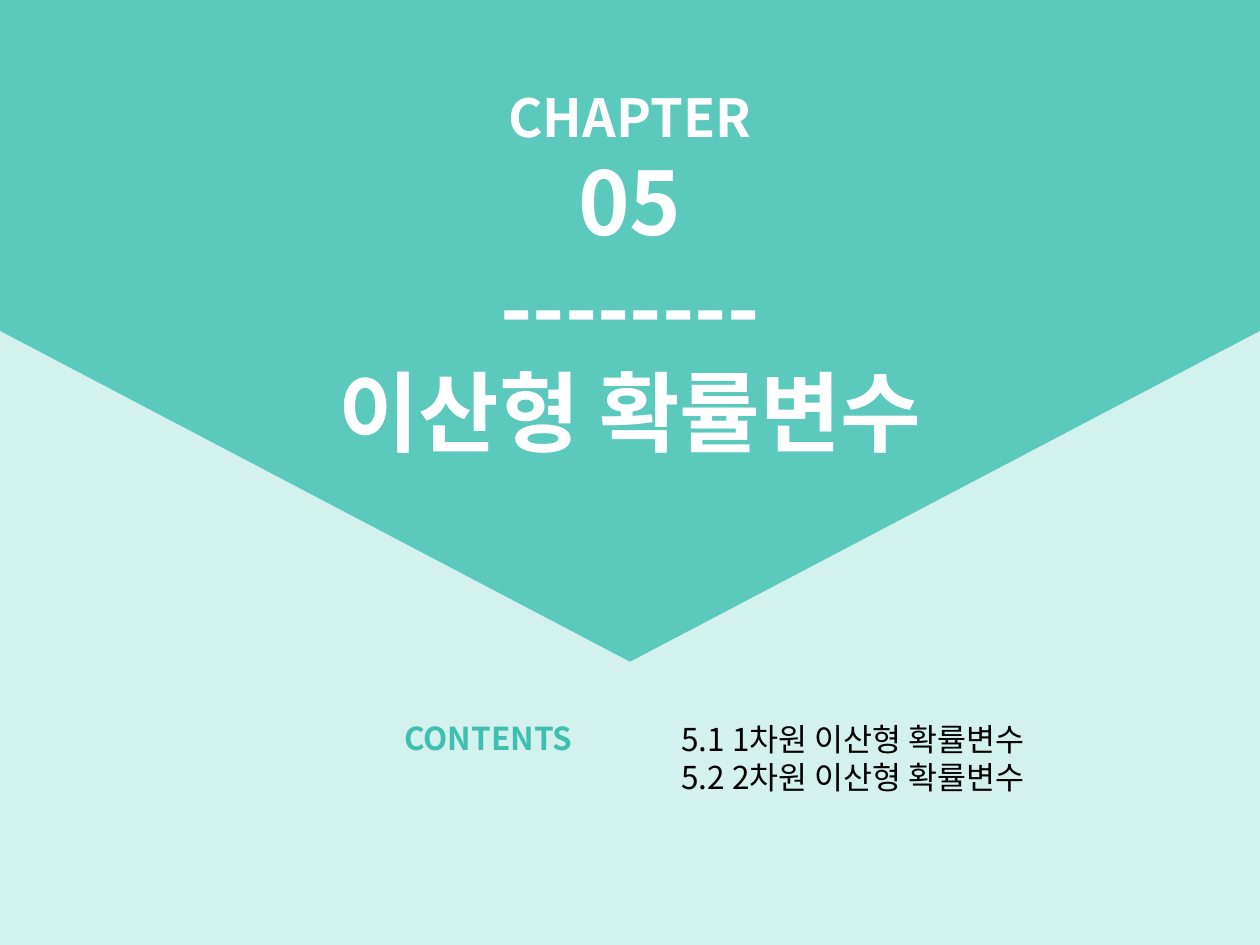
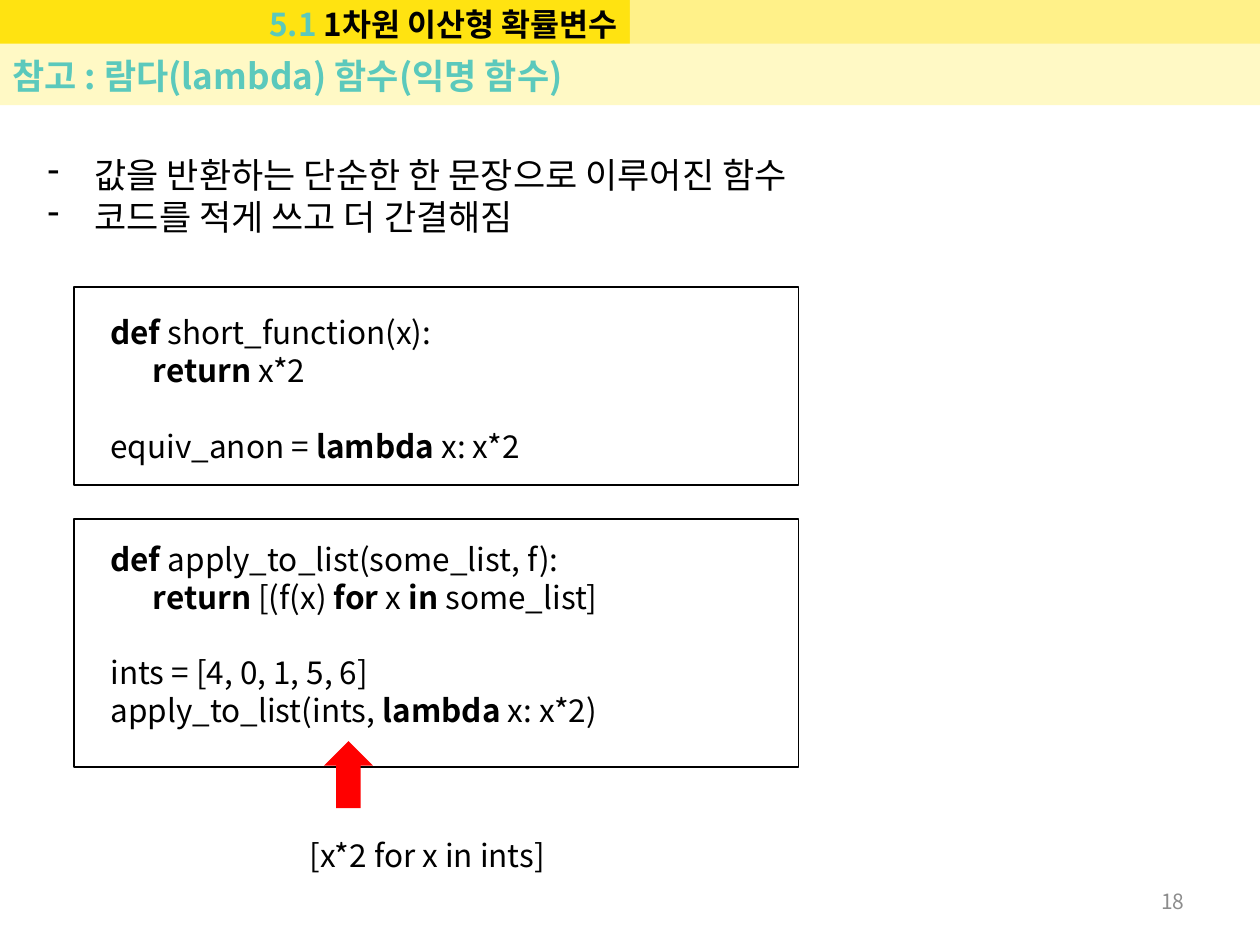
from lxml import etree
from pptx import Presentation
from pptx import util as u
from pptx.dml import color as dml
from pptx.enum import shapes, text
from pptx.oxml import ns

FONT = "Noto Sans CJK KR"
TEAL, DEEP, MINT = "5BC9BC", "3FBFB0", "D3F1ED"
GOLD, LEMON, CREAM = "FFE311", "FFF189", "FFF9C5"
BLACK, WHITE, GREY, RED = "000000", "FFFFFF", "8C8C8C", "FF0000"
WIDE, HIGH = 25.4, 19.05
KIND = shapes.MSO_SHAPE
LEFT, MID, RIGHT = text.PP_ALIGN.LEFT, text.PP_ALIGN.CENTER, text.PP_ALIGN.RIGHT


def tint(code):
    """Turn a hex string into a colour."""
    return dml.RGBColor.from_string(code)


def shape(slide, kind, box, fill=None, line=None):
    """Add a flat preset shape; box is left, top, width, height in cm."""
    item = slide.shapes.add_shape(kind, *map(u.Cm, box))
    item.shadow.inherit = False
    if fill:
        item.fill.solid()
        item.fill.fore_color.rgb = tint(fill)
    else:
        item.fill.background()
    if line:
        item.line.color.rgb = tint(line)
        item.line.width = u.Pt(1)
    else:
        item.line.fill.background()
    return item


def setup(frame, size, middle=False, wrap=True):
    """Set wrapping, anchor and margins for text of one size."""
    frame.word_wrap = wrap
    frame.vertical_anchor = text.MSO_ANCHOR.MIDDLE if middle else text.MSO_ANCHOR.TOP
    frame.margin_top = u.Pt(0.07 * size + (0 if middle else 3.6))
    frame.margin_bottom = 0


def write(frame, words, size, code=BLACK, bold=False, align=LEFT, alt=None):
    """Add a paragraph; parts between bars turn bold, or take the alt colour."""
    para = frame.paragraphs[0]
    if para.runs:
        para = frame.add_paragraph()
    para.alignment = align
    para.line_spacing = u.Pt(1.2 * size)
    font = para.font
    font.size, font.bold, font.name = u.Pt(size), bold, FONT
    font.color.rgb = tint(code)
    etree.SubElement(font._element.find(ns.qn("a:defRPr")) if font._element.tag == ns.qn("a:pPr")
                     else font._element, ns.qn("a:ea"), typeface=FONT)
    for rank, part in enumerate(words.split("|")):
        if part:
            run = para.add_run()
            run.text = part
            if rank % 2 and alt:
                run.font.color.rgb = tint(alt)
            elif rank % 2:
                run.font.bold = True
    return para


def label(slide, box, lines, size, wrap=True, middle=False, **look):
    """Add a text box whose lines share one look."""
    frame = slide.shapes.add_textbox(*map(u.Cm, box)).text_frame
    setup(frame, size, middle, wrap)
    for line in lines:
        write(frame, line, size, **look)
    return frame


def band(slide, box, fill, words="", size=18, **look):
    """Add a filled band with bold text."""
    item = shape(slide, KIND.RECTANGLE, box, fill)
    if words:
        setup(item.text_frame, size, middle=True)
        write(item.text_frame, words, size, bold=True, **look)


def indent(para, left, first=0, mark=None):
    """Indent a paragraph in cm, with a bullet mark if given."""
    props = para._p.get_or_add_pPr()
    props.set("marL", str(u.Cm(left)))
    props.set("indent", str(u.Cm(first)))
    if mark:
        bullet = etree.Element(ns.qn("a:buChar"), char=mark)
        props.find(ns.qn("a:defRPr")).addprevious(bullet)


def code(frame, lines):
    """Write code as (text, depth, blank rows above)."""
    for words, depth, gap in lines:
        para = write(frame, words, 18)
        para.space_before = u.Pt(21.6 * gap)
        indent(para, 1.27 + 0.85 * depth)


def cover(slide):
    """Build the chapter opening."""
    shape(slide, KIND.RECTANGLE, (0, 0, WIDE, HIGH), MINT)
    plate = shape(slide, KIND.PENTAGON, (6.03, -6.03, 13.34, WIDE), TEAL)
    plate.rotation = 90
    title = label(slide, (5.8, 1.52, 13.8, 7.95), ["CHAPTER"], 30,
                  code=WHITE, bold=True, align=MID)
    for words in ("05", "--------", "이산형 확률변수"):
        write(title, words, 50, WHITE, True, MID)
    label(slide, (13.49, 14.35, 8.41, 1.8),
          ["5.1 1차원 이산형 확률변수", "5.2 2차원 이산형 확률변수"], 18)
    label(slide, (7.9, 14.33, 4.39, 1.02), ["CONTENTS"], 18, code=DEEP, bold=True)


def lesson(slide):
    """Build the lambda page."""
    half = WIDE / 2
    band(slide, (0, 0, half, 0.91), GOLD, "5.1 |1차원 이산형 확률변수",
         code=TEAL, alt=BLACK, align=RIGHT)
    band(slide, (half, 0, half, 0.91), LEMON)
    band(slide, (0, 0.88, WIDE, 1.24), CREAM,
         "참고 : 람다(lambda) 함수(익명 함수)", 20, code=TEAL)
    for top, high in ((5.79, 3.99), (10.46, 5)):
        shape(slide, KIND.RECTANGLE, (1.5, top, 14.6, high), line=BLACK)
    body = label(slide, (0.71, 2.92, 24.41, 14.27),
                 ["값을 반환하는 단순한 한 문장으로 이루어진 함수",
                  "코드를 적게 쓰고 더 간결해짐"], 20)
    for para in body.paragraphs:
        indent(para, 0.95, -0.95, "-")
    code(body, [
        ("|def |short_function(x):", 0, 2),
        ("|return| x*2", 1, 0),
        ("equiv_anon = |lambda| x: x*2", 0, 1),
        ("|def |apply_to_list(some_list, f):", 0, 2),
        ("|return| [(f(x) |for| x |in |some_list]", 1, 0),
        ("ints = [4, 0, 1, 5, 6]", 0, 1),
        ("apply_to_list(ints, |lambda| x: x*2)", 0, 0),
    ])
    label(slide, (18.21, 17.65, 5.92, 1.02), ["18"], 12, middle=True,
          code=GREY, align=RIGHT)
    label(slide, (5.99, 16.69, 5.41, 1.02), ["[x*2 for x in ints]"], 18, wrap=False)
    shape(slide, KIND.UP_ARROW, (6.53, 14.94, 0.99, 1.35), RED)


def main():
    """Build and save the deck."""
    deck = Presentation()
    deck.slide_width, deck.slide_height = u.Cm(WIDE), u.Cm(HIGH)
    for build in (cover, lesson):
        build(deck.slides.add_slide(deck.slide_layouts[6]))
    deck.save("out.pptx")


if __name__ == "__main__":
    main()
